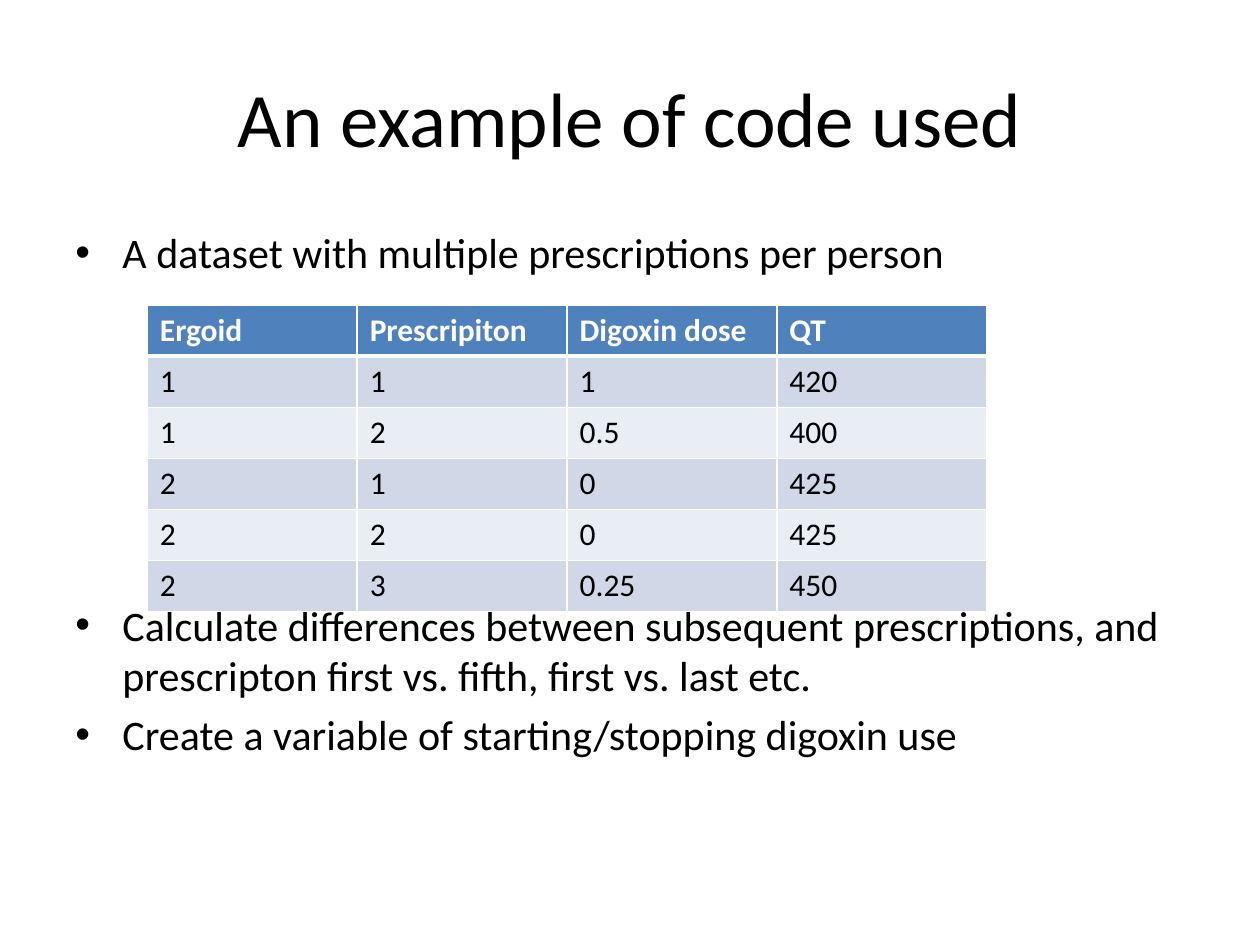
import pptx
import pptx.util
import pptx.dml.color
import pptx.enum.text
import pptx.oxml
from pptx.util import Cm, Pt


def style(paragraph, size, color, bold=False):
    for run in paragraph.runs:
        run.font.name = "Calibri"
        run.font.size = Pt(size)
        run.font.bold = bold
        run.font.color.rgb = pptx.dml.color.RGBColor.from_string(color)


def add_xml(parent, content):
    namespace = "http://schemas.openxmlformats.org/drawingml/2006/main"
    tag, rest = content.split(" ", 1)
    parent.append(pptx.oxml.parse_xml(f'<a:{tag} xmlns:a="{namespace}" {rest}'))


presentation = pptx.Presentation()
presentation.slide_width = Cm(25.4)
presentation.slide_height = Cm(19.05)
slide = presentation.slides.add_slide(presentation.slide_layouts[6])

# Title
title = slide.shapes.add_textbox(Cm(1.27), Cm(0.76), Cm(22.86), Cm(3.18))
title.text_frame.word_wrap = True
title.text_frame.vertical_anchor = pptx.enum.text.MSO_ANCHOR.MIDDLE
title.text_frame.text = "An example of code used"
title.text_frame.paragraphs[0].alignment = pptx.enum.text.PP_ALIGN.CENTER
style(title.text_frame.paragraphs[0], 44, "000000")

# Bullets, with room for the table after the first one
bullets = [
    ("A dataset with multiple prescriptions per person", 4.8),
    ("Calculate differences between subsequent prescriptions, and "
     "prescripton first vs. fifth, first vs. last etc.", 184),
    ("Create a variable of starting/stopping digoxin use", 4.8),
]
body = slide.shapes.add_textbox(Cm(1.27), Cm(4.45), Cm(22.86), Cm(12.57))
body.text_frame.word_wrap = True
body.text_frame.text = "\n".join(text for text, space in bullets)
for paragraph, (text, space) in zip(body.text_frame.paragraphs, bullets):
    paragraph.space_before = Pt(space)
    style(paragraph, 24, "000000")
    properties = paragraph._p.get_or_add_pPr()
    properties.set("marL", str(Cm(0.95)))
    properties.set("indent", str(-Cm(0.95)))
    add_xml(properties, 'buFont typeface="Arial"/>')
    add_xml(properties, 'buChar char="•"/>')

# Prescription table
rows = [
    ["Ergoid", "Prescripiton", "Digoxin dose", "QT"],
    ["1", "1", "1", "420"],
    ["1", "2", "0.5", "400"],
    ["2", "1", "0", "425"],
    ["2", "2", "0", "425"],
    ["2", "3", "0.25", "450"],
]
table = slide.shapes.add_table(len(rows), len(rows[0]), Cm(2.97), Cm(6.15),
                               Cm(16.93), Cm(6.18)).table
for column in table.columns:
    column.width = Cm(4.23)
for row_index, row in enumerate(rows):
    table.rows[row_index].height = Cm(1.03)
    header = row_index == 0
    fill = "4F81BD" if header else ("E9EDF4", "D0D8E8")[row_index % 2]
    for column_index, text in enumerate(row):
        cell = table.cell(row_index, column_index)
        cell.text = text
        style(cell.text_frame.paragraphs[0], 18,
              "FFFFFF" if header else "000000", header)
        # Borders come before the fill in the cell properties
        widths = {"lnL": 1, "lnR": 1, "lnT": 3 if row_index == 1 else 1,
                  "lnB": 3 if header else 1}
        for side, width in widths.items():
            add_xml(cell._tc.get_or_add_tcPr(),
                    f'{side} w="{Pt(width)}"><a:solidFill>'
                    f'<a:srgbClr val="FFFFFF"/></a:solidFill></a:{side}>')
        cell.fill.solid()
        cell.fill.fore_color.rgb = pptx.dml.color.RGBColor.from_string(fill)

presentation.save("out.pptx")
